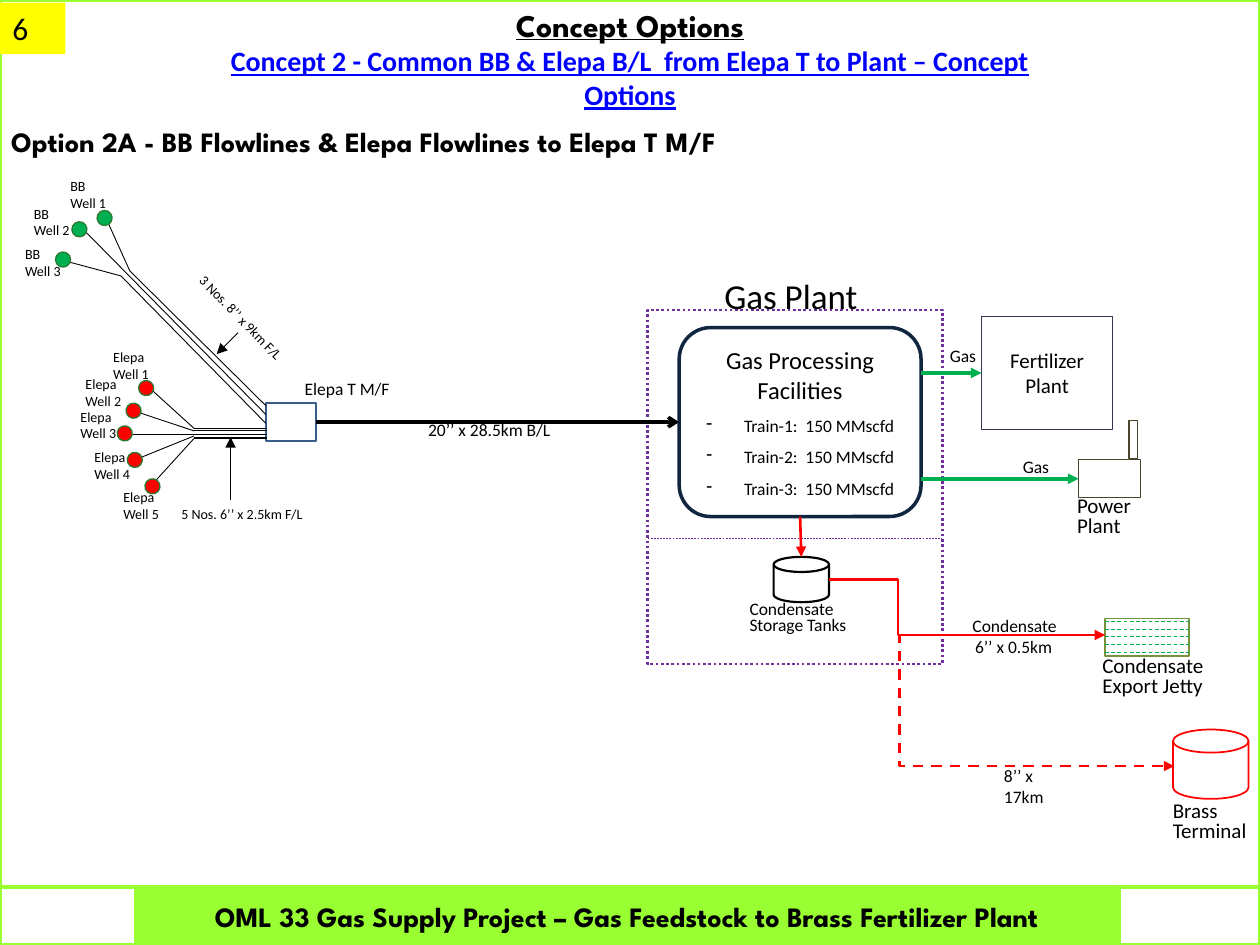
from dataclasses import dataclass

from lxml import etree
from pptx import Presentation, util as u
from pptx.dml.color import RGBColor
from pptx.enum import dml, shapes, text
from pptx.oxml.ns import qn


@dataclass(frozen=True)
class Theme:
    """Colours, fonts and type sizes of the slide."""
    body: str = "Calibri"
    display: str = "League Spartan"
    black: str = "000000"
    blue: str = "0000FF"
    lime: str = "99FF33"
    yellow: str = "FFFF00"
    red: str = "FF0000"
    green: str = "00B050"
    well_edge: str = "2B7932"
    purple: str = "7030A0"
    navy: str = "10253F"
    plum: str = "403152"
    olive: str = "77933C"
    brown: str = "4A452A"
    steel: str = "385D8A"
    huge: int = 20
    title: int = 18
    heading: int = 16
    large: int = 14
    medium: int = 12
    label: int = 10
    small: int = 8


def inches(*values):
    """Turn inch measures into Cm lengths."""
    return [u.Cm(value * 2.54) for value in values]


class Diagram:
    """Holds the theme and the current slide and draws elements on it."""

    def __init__(self, page, theme):
        """Keep the page and the theme."""
        self.page, self.theme = page, theme

    def stroke(self, line, color, width, dash=None):
        """Style a line."""
        line.color.rgb = RGBColor.from_string(color)
        line.width = u.Pt(width)
        if dash:
            line.dash_style = dash

    def shape(self, kind, place, line=None, width=1, fill=None, dash=None, turn=0):
        """Add a preset shape."""
        box = self.page.shapes.add_shape(kind, *inches(*place))
        box.shadow.inherit = False
        box.rotation = turn
        if fill:
            box.fill.solid()
            box.fill.fore_color.rgb = RGBColor.from_string(fill)
        else:
            box.fill.background()
        if line:
            self.stroke(box.line, line, width, dash)
        else:
            box.line.fill.background()
        return box

    def rect(self, place, line=None, width=1, **style):
        """Add a rectangle."""
        return self.shape(shapes.MSO_SHAPE.RECTANGLE, place, line, width, **style)

    def add_text(self, box, lines, size, align=text.PP_ALIGN.LEFT, font=None, color=None,
                 bold=False, underline=False, spacing=None, dash_indent=None):
        """Append paragraphs of one style to a box."""
        frame = box.text_frame
        for line in lines.split("\n"):
            para = frame.paragraphs[0] if not frame.text else frame.add_paragraph()
            para.text = line
            para.alignment = align
            if spacing:
                para.line_spacing = u.Pt(spacing)
            if dash_indent:
                para.space_before = u.Pt(6)
                props = para._p.get_or_add_pPr()
                indent = inches(dash_indent)[0]
                props.set("marL", str(indent))
                props.set("indent", str(-indent))
                etree.SubElement(props, qn("a:buChar")).set("char", "-")
            para.font.name = font or self.theme.body
            para.font.size = u.Pt(size)
            para.font.bold = bold
            para.font.underline = underline
            para.font.color.rgb = RGBColor.from_string(color or self.theme.black)

    def label(self, place, lines, size, wrap=False, turn=0, **style):
        """Add a text box."""
        box = self.page.shapes.add_textbox(*inches(*place))
        box.rotation = turn
        box.text_frame.word_wrap = wrap
        box.text_frame.auto_size = text.MSO_AUTO_SIZE.SHAPE_TO_FIT_TEXT
        self.add_text(box, lines, size, **style)
        return box

    def line(self, start, end, color, width, dash=None, head=None, bend=None,
             begin=None, finish=None):
        """Add a straight or bent connector, joined to shapes where given."""
        kinds = shapes.MSO_CONNECTOR
        kind = kinds.STRAIGHT if bend is None else kinds.ELBOW
        link = self.page.shapes.add_connector(kind, *inches(*start, *end))
        if begin:
            link.begin_connect(*begin)
        if finish:
            link.end_connect(*finish)
        self.stroke(link.line, color, width, dash)
        if bend is not None:
            guides = link._element.spPr.find(qn("a:prstGeom")).get_or_add_avLst()
            guide = etree.SubElement(guides, qn("a:gd"))
            guide.set("name", "adj1")
            guide.set("fmla", f"val {round(bend * 100000)}")
        if head:
            etree.SubElement(link.line._get_or_add_ln(), qn("a:tailEnd")).set("type", head)
        etree.SubElement(link._element.spPr, qn("a:effectLst"))

    def wells(self, name, spots, fill, turn):
        """Add numbered wells with their labels."""
        for number, (dot, place) in enumerate(spots, 1):
            self.shape(shapes.MSO_SHAPE.OVAL, (*dot, 0.12, 0.12), self.theme.well_edge,
                       0.75, fill=fill, turn=turn)
            self.label((*place, 0.49, 0.37), f"{name}\nWell {number}", self.theme.small)


def draw_frame(art, theme):
    """Draw the border, footer, page number and titles."""
    center = text.PP_ALIGN.CENTER
    for place in ((0, 0, 10, 7.5), (0, 7.04, 1.08, 0.46), (8.88, 7.04, 1.12, 0.46)):
        art.rect(place, theme.lime, 2)
    footer = art.rect((1.08, 7.04, 7.79, 0.46), theme.lime, 2, fill=theme.lime)
    art.add_text(footer, "OML 33 Gas Supply Project – Gas Feedstock to Brass Fertilizer Plant",
                 theme.heading, center, theme.display, bold=True)
    number = art.rect((0, 0.02, 0.52, 0.41), fill=theme.yellow)
    number.text_frame.vertical_anchor = text.MSO_ANCHOR.TOP
    art.add_text(number, "6", theme.title)
    title = art.label((1.36, 0, 7.28, 0.67), "Concept Options", theme.title, align=center,
                      font=theme.display, bold=True, underline=True)
    art.add_text(title,
                 "Concept 2 - Common BB & Elepa B/L  from Elepa T to Plant – Concept Options",
                 theme.heading, center, color=theme.blue, bold=True, underline=True)
    art.label((-0.01, 0.94, 6.52, 0.37),
              "Option 2A - BB Flowlines & Elepa Flowlines to Elepa T M/F",
              theme.heading, font=theme.display, bold=True)


def draw_plant(art, theme):
    """Draw the gas plant, its customers and the condensate route."""
    center, dash = text.PP_ALIGN.CENTER, dml.MSO_LINE.DASH
    disk = shapes.MSO_SHAPE.FLOWCHART_MAGNETIC_DISK
    art.rect((5.14, 2.46, 2.34, 2.81), theme.purple, 1.5, dash=dml.MSO_LINE.ROUND_DOT)
    art.line((5.14, 4.27), (7.48, 4.27), theme.purple, 0.25, dash)
    plant = art.shape(shapes.MSO_SHAPE.ROUNDED_RECTANGLE, (5.39, 2.6, 1.92, 1.5), theme.navy, 2)
    art.add_text(plant, "Gas Processing Facilities", theme.large, center)
    art.add_text(plant, "\n".join(f"Train-{train}:  150 MMscfd" for train in (1, 2, 3)),
                 theme.label, center, dash_indent=0.3)
    fertilizer = art.rect((7.79, 2.51, 1.04, 0.9), theme.plum, 0.75)
    art.add_text(fertilizer, "Fertilizer\nPlant", theme.medium, center)
    power = art.rect((8.56, 3.65, 0.49, 0.3), theme.brown, 0.75)
    art.rect((8.96, 3.34, 0.07, 0.3), theme.brown, 0.75)
    manifold = art.rect((2.11, 3.2, 0.4, 0.3), theme.steel)
    art.shape(disk, (6.14, 4.42, 0.44, 0.36), theme.black, 1.25)
    art.shape(disk, (9.31, 5.79, 0.6, 0.55), theme.red)
    art.rect((8.77, 4.91, 0.67, 0.3), theme.olive)
    for row in range(5):
        y = 4.93 + row * 0.0625
        art.line((8.77, y), (9.44, y), theme.green, 0.5, dash)

    art.line((2.51, 3.35), (5.39, 3.35), theme.black, 2, head="arrow",
             begin=(manifold, 3), finish=(plant, 1))
    for y, x, target in ((2.96, 7.79, fertilizer), (3.8, 8.56, power)):
        art.line((7.31, y), (x, y), theme.green, 2, head="triangle", finish=(target, 1))
    art.line((6.35, 4.1), (6.36, 4.42), theme.red, 1.5, head="triangle", begin=(plant, 2))
    art.line((6.58, 4.6), (8.77, 5.04), theme.red, 1.5, head="triangle", bend=0.25)
    art.line((7.16, 5.04), (9.32, 6.08), theme.red, 1.5, dash, "triangle", bend=-0.01)

    art.label((5.65, 2.13, 1.26, 0.44), "Gas Plant", theme.huge)
    for place, words, wrap in (((8.45, 3.91, 0.63, 0.41), "Power\nPlant", False),
                               ((8.65, 5.18, 1.08, 0.41), "Condensate\nExport Jetty", True),
                               ((9.21, 6.33, 0.88, 0.41), "Brass\nTerminal", True)):
        art.label(place, words, theme.medium, wrap, spacing=11)
    art.label((5.85, 4.74, 0.98, 0.35), "Condensate\nStorage Tanks", theme.label, spacing=9)
    for x, y, width, words in ((7.62, 4.83, 0.87, "Condensate"), (8.02, 3.57, 0.41, "Gas"),
                               (7.44, 2.69, 0.41, "Gas"), (3.3, 3.28, 1.17, "20’’ x 28.5km B/L"),
                               (7.64, 5, 0.81, "6’’ x 0.5km"), (2.32, 2.95, 0.87, "Elepa T M/F"),
                               (7.87, 6.02, 0.77, "8’’ x 17km")):
        art.label((x, y, width, 0.27), words, theme.label)


def draw_fields(art, theme):
    """Draw both well fields and their flowlines."""
    flowlines = [((1.54, y), (2.12, y)) for y in (3.4, 3.42, 3.47, 3.48)]
    flowlines += [
        ((1.04, 3.45), (2.12, 3.45)), ((1.21, 3.1), (1.54, 3.4)), ((1.12, 3.28), (1.54, 3.42)),
        ((1.12, 3.63), (1.54, 3.46)), ((1.24, 3.81), (1.54, 3.48)), ((0.96, 2.19), (2.11, 3.36)),
        ((0.68, 1.84), (2.11, 3.29)), ((1.03, 2.15), (2.11, 3.22)), ((0.85, 1.75), (1.03, 2.15)),
        ((0.55, 2.08), (0.96, 2.19))]
    for start, end in flowlines:
        art.line(start, end, theme.black, 0.5)
    for start, end in (((1.83, 3.97), (1.83, 3.47)), ((1.89, 2.64), (1.72, 2.81))):
        art.line(start, end, theme.black, 0.5, head="triangle")
    art.wells("Elepa", (((1.1, 3.02), (0.8, 2.72)), ((1, 3.2), (0.58, 2.93)),
                        ((0.93, 3.38), (0.54, 3.19)), ((1.01, 3.59), (0.65, 3.51)),
                        ((1.15, 3.8), (0.88, 3.83))), theme.red, 339.2)
    art.wells("BB", (((0.77, 1.67), (0.46, 1.36)), ((0.57, 1.76), (0.17, 1.58)),
                     ((0.44, 2), (0.1, 1.9))), theme.green, 24.9)
    art.label((1.34, 3.96, 1.21, 0.24), "5 Nos. 6’’ x 2.5km F/L", theme.small, True)
    art.label((1.36, 2.43, 1.15, 0.24), "3 Nos. 8’’ x 9km F/L", theme.small, True, 45.7)


def main():
    """Build and save the deck."""
    deck = Presentation()
    deck.slide_width, deck.slide_height = inches(10, 7.5)
    theme = Theme()
    art = Diagram(deck.slides.add_slide(deck.slide_layouts[6]), theme)
    for draw in (draw_frame, draw_plant, draw_fields):
        draw(art, theme)
    deck.save("out.pptx")


if __name__ == "__main__":
    main()
